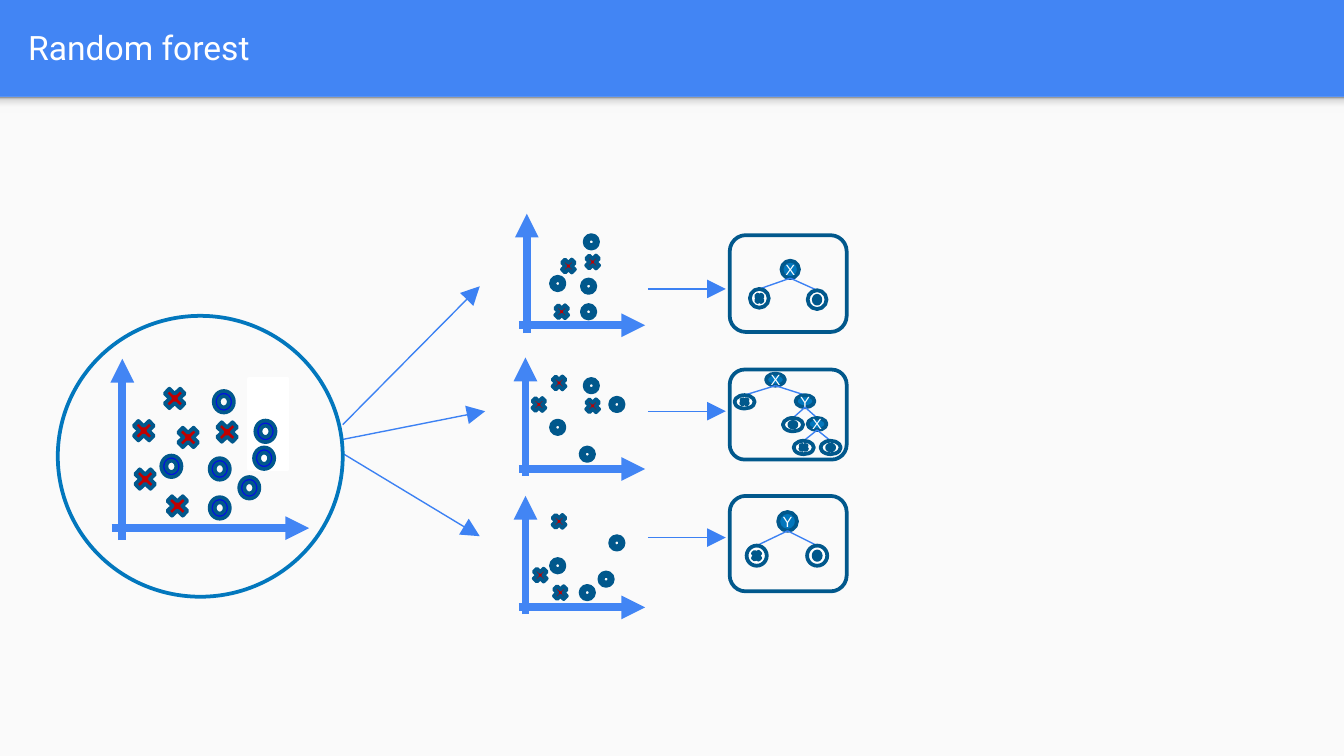
"""Build a slide showing a random forest: one data set, three samples, three trees."""
from lxml import etree
from pptx import Presentation, util as u
from pptx.dml.color import RGBColor
from pptx.enum import shapes as es, text as et
from pptx.oxml import ns, parse_xml

THEME = dict(
    header="4285F4", body="FAFAFA", white="FFFFFF", axis="4285F4", arrow="3C81F3",
    outline="01588C", node="0277BD", cross="C00000", ring="030EE3",
    fade=[(0, "F9F9F9"), (36, "F9F9F9"), (80, "DEDEDE"), (100, "999999")],
    title_font="Roboto", node_font="Arial", title_size=18, node_size=7.9,
    thin=0.75, medium=2, thick=4.25,
)
SHAPE = es.MSO_SHAPE
TITLE = "Random forest"
MARKS = {"cross": SHAPE.MATH_MULTIPLY, "ring": SHAPE.DONUT}

FULL_PLOT = dict(
    up=(0.91, 4.02, 2.67), across=(3.93, 0.83, 2.3), cross_size=(0.22, 0.21), ring_size=(0.15, 0.16),
    cross=[(0.96, 3.1), (1.29, 3.15), (0.97, 3.46), (1.19, 2.86), (1.21, 3.66), (1.58, 3.11)],
    ring=[(1.2, 3.39), (1.56, 3.41), (1.56, 3.7), (1.78, 3.55), (1.89, 3.33), (1.59, 2.91), (1.9, 3.13)],
)
SAMPLE = dict(cross_size=(0.14, 0.14), ring_size=(0.1, 0.1))
SAMPLE_PLOTS = [
    dict(SAMPLE, up=(3.92, 2.48, 1.59), across=(2.42, 3.86, 4.8),
         cross=[(4.16, 1.91), (4.11, 2.25), (4.34, 1.88)],
         ring=[(4.1, 2.06), (4.33, 2.08), (4.33, 2.27), (4.35, 1.75)]),
    dict(SAMPLE, up=(3.91, 3.54, 2.66), across=(3.49, 3.86, 4.8),
         cross=[(3.94, 2.94), (4.09, 2.78), (4.34, 2.95)],
         ring=[(4.1, 3.13), (4.32, 3.33), (4.35, 2.82), (4.54, 2.96)]),
    dict(SAMPLE, up=(3.91, 4.57, 3.69), across=(4.52, 3.86, 4.8),
         cross=[(3.95, 4.21), (4.09, 3.81), (4.1, 4.34)],
         ring=[(4.1, 4.16), (4.32, 4.36), (4.46, 4.26), (4.54, 3.99)]),
]
SPLITS = [(2.55, 3.16, 3.57, 2.13), (2.55, 3.27, 3.61, 3.06), (2.56, 3.38, 3.57, 3.99)]
TRAIN_ROWS = [2.15, 3.06, 4]

TREES = [
    dict(box=(1.75, 0.72), split=(0.13, 0.13), leaf=(0.14, 0.14),
         nodes=[("X", 5.88, 1.94, None), ("ring", 6.08, 2.16, 0), ("cross", 5.65, 2.15, 0)]),
    dict(box=(2.75, 0.67), split=(0.14, 0.09), leaf=(0.15, 0.1),
         nodes=[("X", 5.77, 2.78, None), ("cross", 5.54, 2.94, 0), ("Y", 5.99, 2.94, 0),
                ("ring", 5.9, 3.11, 2), ("X", 6.08, 3.11, 2),
                ("cross", 5.98, 3.28, 4), ("ring", 6.18, 3.28, 4)]),
    dict(box=(3.69, 0.71), split=(0.14, 0.14), leaf=(0.15, 0.15),
         nodes=[("Y", 5.86, 3.81, None), ("ring", 6.08, 4.06, 0), ("cross", 5.63, 4.06, 0)]),
]
MARK_SCALE = {"cross": (0.52, 0.6), "ring": (0.35, 0.42)}


def color(name):
    return RGBColor.from_string(THEME[name])


def add_shape(parent, kind, x, y, w, h, fill=None, line=None):
    sp = parent.add_shape(kind, *map(u.Inches, (x, y, w, h)))
    sp.shadow.inherit = False
    if fill:
        sp.fill.solid()
        sp.fill.fore_color.rgb = color(fill)
    else:
        sp.fill.background()
    if line:
        sp.line.color.rgb = color(line)
        sp.line.width = u.Pt(THEME["medium"])
    else:
        sp.line.fill.background()
    return sp


def add_line(parent, x1, y1, x2, y2, stroke="arrow", width="thin", head="lg"):
    cx = parent.add_connector(es.MSO_CONNECTOR.STRAIGHT, *map(u.Inches, (x1, y1, x2, y2)))
    cx.line.color.rgb = color(stroke)
    cx.line.width = u.Pt(THEME[width])
    if head:
        ln = cx._element.spPr.find(ns.qn("a:ln"))
        etree.SubElement(ln, ns.qn("a:tailEnd"), type="triangle", w=head, len=head)
    etree.SubElement(cx._element.spPr, ns.qn("a:effectLst"))


def add_run(p, words, font, size):
    r = p.add_run()
    r.text = words
    r.font.name, r.font.size = THEME[font], u.Pt(THEME[size])
    r.font.color.rgb = color("white")


def add_header(s):
    title = s.shapes.title
    title.left, title.top, title.width, title.height = map(u.Inches, (0.11, 0.02, 9.65, 0.66))
    tf = title.text_frame
    tf.margin_left = tf.margin_right = tf.margin_top = tf.margin_bottom = u.Inches(0.1)
    tf.auto_size, tf.vertical_anchor = et.MSO_AUTO_SIZE.NONE, et.MSO_ANCHOR.MIDDLE
    tf.paragraphs[0].alignment = et.PP_ALIGN.LEFT
    add_run(tf.paragraphs[0], TITLE, "title_font", "title_size")
    add_shape(s.shapes, SHAPE.RECTANGLE, 0, 0.72, 10, 4.91, "body")
    band = add_shape(s.shapes, SHAPE.RECTANGLE, 0, 0.72, 10, 0.12, "body")
    stops = "".join(f'<a:gs pos="{at * 1000}"><a:srgbClr val="{c}"/></a:gs>' for at, c in THEME["fade"])
    fade = parse_xml(f'<a:gradFill {ns.nsdecls("a")}><a:gsLst>{stops}</a:gsLst>'
                     '<a:lin ang="16200000" scaled="0"/></a:gradFill>')
    spPr = band._element.spPr
    spPr.replace(spPr.find(ns.qn("a:solidFill")), fade)


def add_plot(s, plot):
    grp = s.shapes.add_group_shape().shapes
    x, bottom, top = plot["up"]
    y, left, right = plot["across"]
    add_line(grp, x, bottom, x, top, "axis", "thick", "med")
    add_line(grp, left, y, right, y, "axis", "thick", "med")
    for mark, kind in MARKS.items():
        for at in plot[mark]:
            add_shape(grp, kind, *at, *plot[mark + "_size"], mark, "outline")


def add_node(grp, tree, kind, x, y):
    leaf = kind in MARKS
    w, h = tree["leaf" if leaf else "split"]
    sp = add_shape(grp, SHAPE.OVAL, x - w / 2, y, w, h, "white" if leaf else "node", "outline")
    if leaf:
        kx, ky = MARK_SCALE[kind]
        add_shape(grp, MARKS[kind], x - w * kx / 2, y + h * (1 - ky) / 2, w * kx, h * ky, kind, "outline")
        return
    tf = sp.text_frame
    tf.margin_left = tf.margin_right = tf.margin_top = tf.margin_bottom = 0
    tf.word_wrap, tf.vertical_anchor = False, et.MSO_ANCHOR.MIDDLE
    tf.paragraphs[0].alignment = et.PP_ALIGN.CENTER
    add_run(tf.paragraphs[0], kind, "node_font", "node_size")


def add_tree(s, tree):
    top, height = tree["box"]
    add_shape(s.shapes, SHAPE.ROUNDED_RECTANGLE, 5.43, top, 0.87, height, line="outline")
    grp = s.shapes.add_group_shape().shapes
    for kind, x, y, parent in tree["nodes"]:
        if parent is not None:
            _, px, py, _ = tree["nodes"][parent]
            add_line(grp, px, py + tree["split"][1], x, y, head=None)
        add_node(grp, tree, kind, x, y)


def main():
    prs = Presentation()
    prs.slide_width, prs.slide_height = u.Inches(10), u.Inches(10 * 9 / 16)
    s = prs.slides.add_slide(prs.slide_layouts[5])
    s.background.fill.solid()
    s.background.fill.fore_color.rgb = color("header")
    add_header(s)
    for split in SPLITS:
        add_line(s.shapes, *split)
    add_shape(s.shapes, SHAPE.RECTANGLE, 1.85, 2.82, 0.29, 0.67, "white", "white")
    add_plot(s, FULL_PLOT)
    add_shape(s.shapes, SHAPE.OVAL, 0.43, 2.35, 2.12, 2.09, line="node")
    for plot, y, tree in zip(SAMPLE_PLOTS, TRAIN_ROWS, TREES):
        add_plot(s, plot)
        add_line(s.shapes, 4.82, y, 5.4, y)
        add_tree(s, tree)
    prs.save("out.pptx")


if __name__ == "__main__":
    main()
